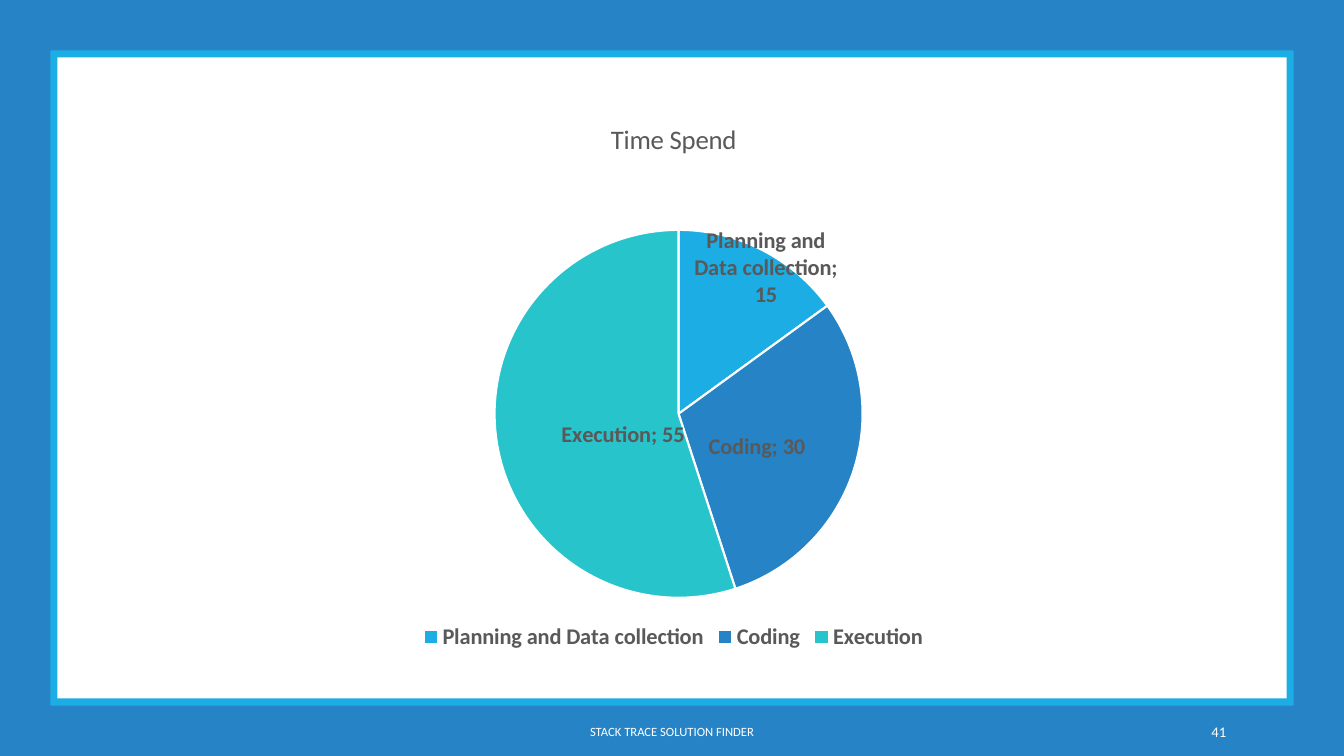
from pptx import Presentation
from pptx import util as u
from pptx.chart import data
from pptx.dml.color import RGBColor
from pptx.enum import chart as ch, shapes, text
from pptx.oxml import parse_xml
from pptx.oxml.ns import nsdecls

BLUE = RGBColor(0x26, 0x83, 0xC6)
SKY = RGBColor(0x1C, 0xAD, 0xE4)
TEAL = RGBColor(0x28, 0xC4, 0xCC)
WHITE = RGBColor(0xFF, 0xFF, 0xFF)
GREY = RGBColor(0x59, 0x59, 0x59)

# phase, share of time, slice colour, label shift as fractions of the chart
PHASES = [
    ("Planning and Data collection", 15, SKY, (0.04, -0.115)),
    ("Coding", 30, BLUE, (-0.008, 0.009)),
    ("Execution", 55, TEAL, (0.031, 0.013)),
]


def manual_layout(x, y, size=None):
    """Return a c:layout element; with a size it places the inner plot area."""
    target = '<c:layoutTarget val="inner"/>' if size else ""
    edges = '<c:xMode val="edge"/><c:yMode val="edge"/>' if size else ""
    extent = f'<c:w val="{size[0]}"/><c:h val="{size[1]}"/>' if size else ""
    return parse_xml(
        f'<c:layout {nsdecls("c")}><c:manualLayout>{target}{edges}'
        f'<c:x val="{x}"/><c:y val="{y}"/>{extent}</c:manualLayout></c:layout>')


def style_font(font, size, color, bold=False):
    font.name, font.size, font.bold = "Calibri", u.Pt(size), bold
    font.color.rgb = color


class SlideBuilder:
    def __init__(self, slide):
        self.slide = slide

    def panel(self, inset, color, width, height):
        box = self.slide.shapes.add_shape(
            shapes.MSO_SHAPE.RECTANGLE, u.Inches(inset), u.Inches(inset),
            u.Inches(width), u.Inches(height))
        box.shadow.inherit = False
        box.fill.solid()
        box.fill.fore_color.rgb = color
        box.line.fill.background()

    def footer(self, words, left, width, size, align):
        box = self.slide.shapes.add_textbox(
            u.Inches(left), u.Inches(7.06), u.Inches(width), u.Inches(0.4))
        frame = box.text_frame
        frame.word_wrap = True
        frame.vertical_anchor = text.MSO_ANCHOR.MIDDLE
        paragraph = frame.paragraphs[0]
        paragraph.alignment = align
        paragraph.space_after = u.Pt(6)
        run = paragraph.add_run()
        run.text = words
        style_font(run.font, size, WHITE)

    def pie(self, title, phases):
        values = data.CategoryChartData()
        values.categories = [phase[0] for phase in phases]
        values.add_series(title, [phase[1] for phase in phases])
        chart = self.slide.shapes.add_chart(
            ch.XL_CHART_TYPE.PIE, u.Inches(1.03), u.Inches(0.99),
            u.Inches(11.3), u.Inches(5.51), values).chart
        chart.font.name, chart.font.size = "Calibri", u.Pt(10)

        heading = chart.chart_title.text_frame
        heading.text = title
        style_font(heading.paragraphs[0].runs[0].font, 19.1, GREY)
        chart.chart_title.include_in_layout = False

        chart.has_legend = True
        chart.legend.position = ch.XL_LEGEND_POSITION.BOTTOM
        chart.legend.include_in_layout = False
        style_font(chart.legend.font, 16, GREY, bold=True)

        plot = chart.plots[0]
        plot.vary_by_categories = True
        series = plot.series[0]
        labels = series.data_labels
        labels.show_value = labels.show_category_name = True
        style_font(labels.font, 16, GREY, bold=True)
        for index, (_, _, color, shift) in enumerate(phases):
            point = series.points[index]
            point.format.fill.solid()
            point.format.fill.fore_color.rgb = color
            point.format.line.color.rgb = WHITE
            point.format.line.width = u.Pt(1.5)
            style_font(point.data_label.font, 16, GREY, bold=True)
            point.data_label.position = ch.XL_LABEL_POSITION.CENTER
            label = chart.element.xpath(f"//c:dLbl[c:idx/@val='{index}']")[0]
            label.xpath("c:idx")[0].addnext(manual_layout(*shift))
            label.xpath("c:showCatName")[0].set("val", "1")

        area = chart.element.xpath("//c:plotArea")[0]
        for old in area.xpath("c:layout"):
            area.remove(old)
        area.insert(0, manual_layout(0.343, 0.234, (0.323, 0.663)))


def main():
    deck = Presentation()
    deck.slide_width, deck.slide_height = u.Inches(13.33), u.Inches(7.5)
    page = SlideBuilder(deck.slides.add_slide(deck.slide_layouts[6]))
    page.panel(0, BLUE, 13.33, 7.5)
    page.panel(0.5, SKY, 12.33, 6.5)
    page.panel(0.57, WHITE, 12.19, 6.36)
    page.footer("STACK TRACE SOLUTION FINDER", 4.03, 5.27, 9, text.PP_ALIGN.CENTER)
    page.footer("41", 10.83, 1.43, 10.5, text.PP_ALIGN.RIGHT)
    page.pie("Time Spend", PHASES)
    deck.save("out.pptx")


if __name__ == "__main__":
    main()
